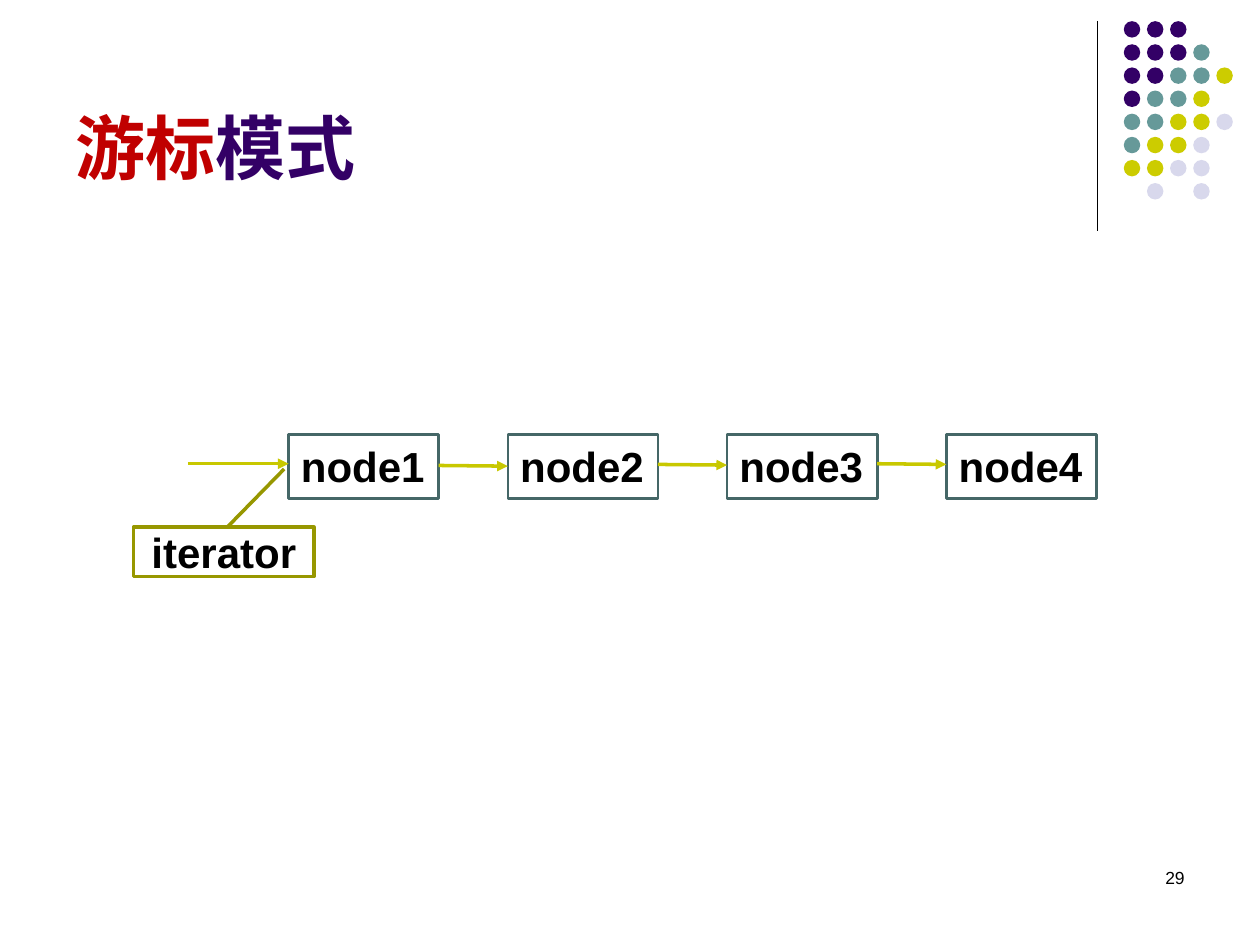
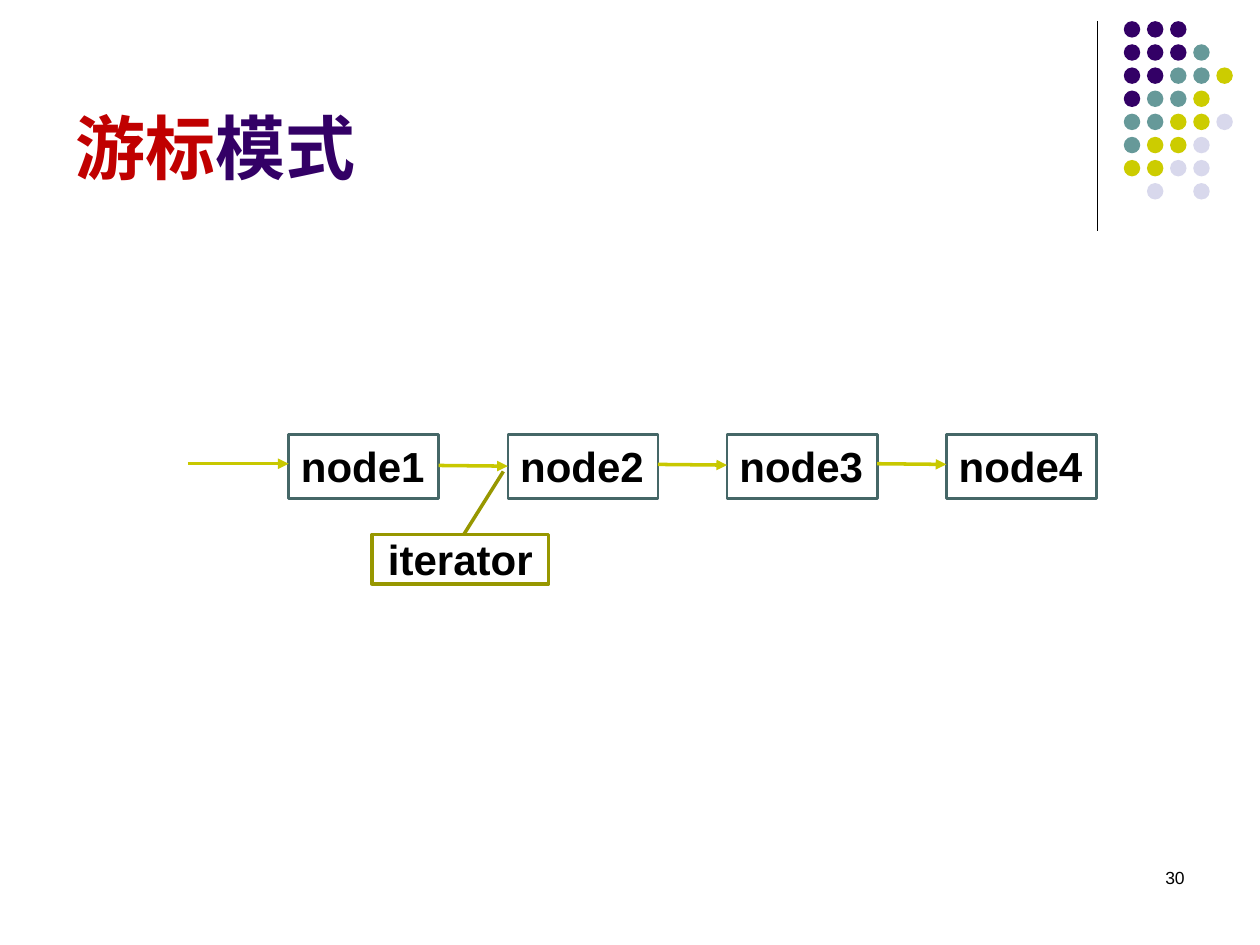
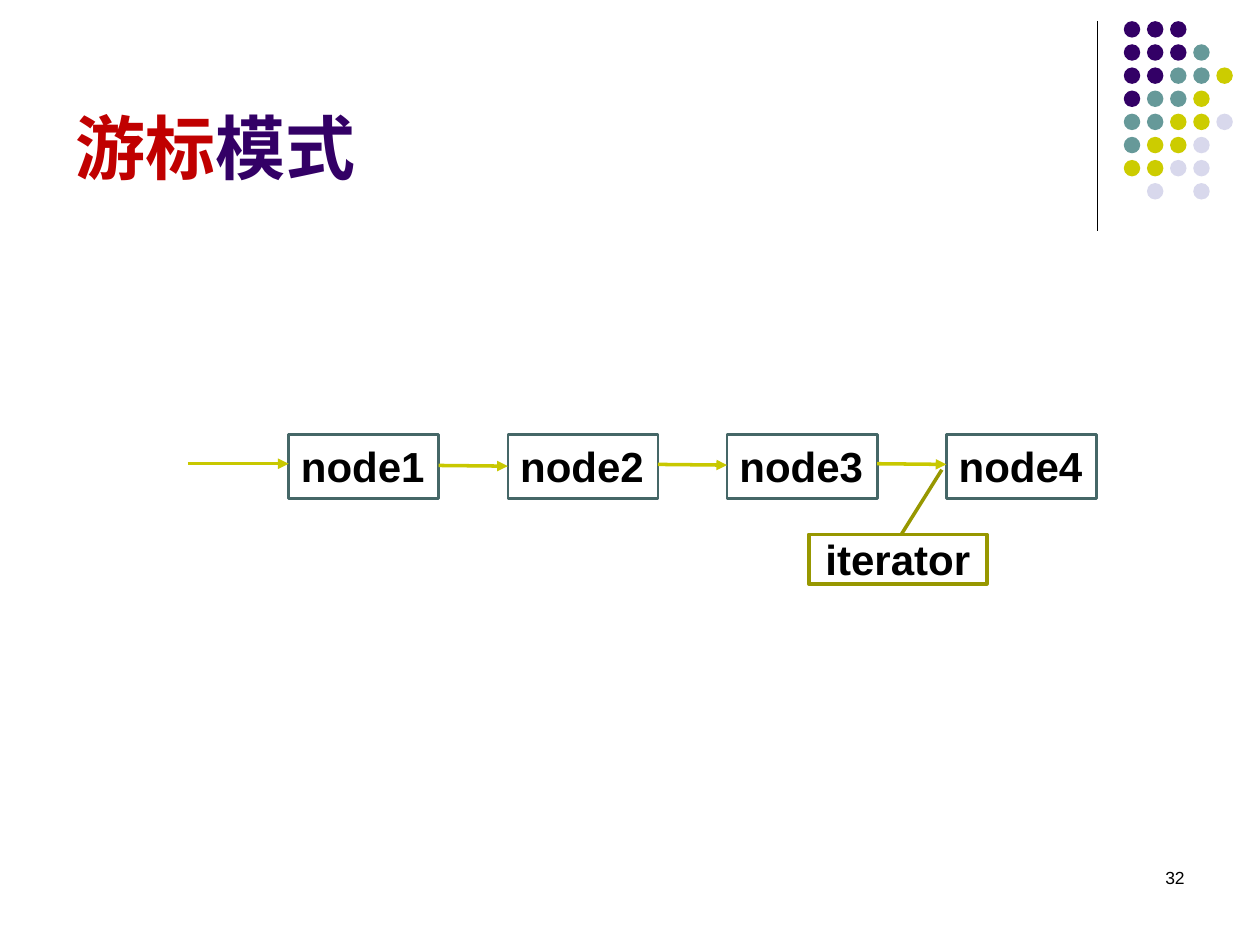
from pptx import Presentation
from pptx.dml.color import RGBColor
from pptx.enum.lang import MSO_LANGUAGE_ID
from pptx.enum.shapes import MSO_CONNECTOR, MSO_SHAPE
from pptx.enum.text import MSO_ANCHOR, MSO_AUTO_SIZE, PP_ALIGN
from pptx.oxml.ns import qn
from pptx.util import Pt
from lxml import etree

STRAIGHT = MSO_CONNECTOR.STRAIGHT
OVAL, RECTANGLE, CALLOUT = MSO_SHAPE.OVAL, MSO_SHAPE.RECTANGLE, MSO_SHAPE.LINE_CALLOUT_1
TOP, MIDDLE, BOTTOM = MSO_ANCHOR.TOP, MSO_ANCHOR.MIDDLE, MSO_ANCHOR.BOTTOM
LEFT, CENTER, RIGHT = PP_ALIGN.LEFT, PP_ALIGN.CENTER, PP_ALIGN.RIGHT
FIXED_SIZE, GROW = MSO_AUTO_SIZE.NONE, MSO_AUTO_SIZE.SHAPE_TO_FIT_TEXT
CHINESE = MSO_LANGUAGE_ID.SIMPLIFIED_CHINESE

FONT = "Arial"
BLACK, RED, PURPLE = "000000", "C00000", "330066"
NODE_LINE, ARROW_LINE, ITERATOR_LINE = "456767", "C8C800", "979700"

DOT_COLORS = {"p": PURPLE, "t": "669999", "y": "CCCC00", "l": "D8D8EC"}
DOT_ROWS = ["ppp", "pppt", "pptty", "ptty", "ttyyl", "tyyl", "yyll", " l l"]
DOT_LEFT, DOT_TOP, DOT_PITCH, DOT_SIZE = 642.2, 12.1, 13.22, 9.4

TITLE_RUNS = [("游标", RED), ("模式", PURPLE)]
TITLE_FORMAT = {"name": FONT, "size": Pt(40), "bold": True, "language_id": CHINESE}
LABEL_FORMAT = {"name": FONT, "size": Pt(24), "bold": True}
NUMBER_FORMAT = {"name": FONT, "size": Pt(10)}

NODES = ["node1", "node2", "node3", "node4"]
NODE_LEFT, NODE_TOP, NODE_PITCH = 164.9, 248.4, 125.28
NODE_WIDTH, NODE_HEIGHT = 85.8, 36.3
FIRST_ARROW_LEFT = 107.3
ARROW_HEIGHTS = [(265, 265), (266, 266.4), (265.4, 265.8), (265, 265.4)]

ITERATOR_HEIGHT = 28.3
# Page number, index of the node pointed at, left, top and width of the iterator
STEPS = [
    ("29", 0, 76.4, 301.2, 103),
    ("30", 1, 212.6, 305.4, 100.9),
    ("32", 3, 462.2, 305.4, 101.7),
]


def color(hex_value):
    return RGBColor.from_string(hex_value)


def set_values(target, values):
    for name, value in values.items():
        setattr(target, name, value)


def box(left, top, width, height):
    return Pt(left), Pt(top), Pt(width), Pt(height)


def node_left(index):
    return NODE_LEFT + index * NODE_PITCH


def add_run(paragraph, text, values, hex_value=BLACK):
    run = paragraph.add_run()
    run.text = text
    set_values(run.font, values)
    run.font.color.rgb = color(hex_value)
    return run


def add_line(shapes, start, end, hex_value, width):
    line = shapes.add_connector(STRAIGHT, *map(Pt, start + end))
    line.line.color.rgb = color(hex_value)
    line.line.width = Pt(width)
    etree.SubElement(line.element.spPr, qn("a:effectLst"))
    return line


def add_arrow(shapes, start, end):
    arrow = add_line(shapes, start, end, ARROW_LINE, 2)
    etree.SubElement(arrow.line._get_or_add_ln(), qn("a:tailEnd"), type="triangle")


def add_label(shapes, kind, place, text, outline, width, alignment, frame):
    """Add an unfilled outlined shape with bold text."""
    label = shapes.add_shape(kind, *box(*place))
    label.shadow.inherit = False
    label.fill.background()
    label.line.color.rgb = color(outline)
    label.line.width = Pt(width)
    set_values(label.text_frame, frame)
    paragraph = label.text_frame.paragraphs[0]
    paragraph.alignment = alignment
    add_run(paragraph, text, LABEL_FORMAT)
    return label


def style_layout(layout):
    """Keep only the title placeholder and give it the shared place."""
    for placeholder in list(layout.placeholders):
        if placeholder.placeholder_format.idx:
            layout.shapes.element.remove(placeholder.element)
    title = layout.placeholders[0]
    left, top, width, height = box(36, 9.4, 594, 102)
    set_values(title, {"left": left, "top": top, "width": width, "height": height})
    set_values(title.text_frame, {"vertical_anchor": BOTTOM, "auto_size": FIXED_SIZE})


def add_corner_decoration(slide):
    """Draw the line and the dots, then hand them to the layout for all slides."""
    corner = slide.shapes.add_group_shape()
    add_line(corner.shapes, (627.1, 12), (627.1, 132), BLACK, 0.75)
    for row, keys in enumerate(DOT_ROWS):
        for column, key in enumerate(keys):
            if key == " ":
                continue
            place = (DOT_LEFT + column * DOT_PITCH, DOT_TOP + row * DOT_PITCH)
            dot = corner.shapes.add_shape(OVAL, *box(*place, DOT_SIZE, DOT_SIZE))
            dot.shadow.inherit = False
            dot.fill.solid()
            dot.fill.fore_color.rgb = color(DOT_COLORS[key])
            dot.line.fill.background()
    slide.slide_layout.shapes.element.append(corner.element)


def add_title(slide):
    paragraph = slide.shapes.title.text_frame.paragraphs[0]
    paragraph.alignment = LEFT
    for text, hex_value in TITLE_RUNS:
        run = add_run(paragraph, text, TITLE_FORMAT, hex_value)
        etree.SubElement(run.font._element, qn("a:ea"), typeface=FONT)


def add_page_number(slide, number):
    frame = slide.shapes.add_textbox(*box(516, 492, 168, 36)).text_frame
    frame.word_wrap = True
    paragraph = frame.paragraphs[0]
    paragraph.alignment = RIGHT
    add_run(paragraph, number, NUMBER_FORMAT)


def add_linked_list(slide):
    frame = {"vertical_anchor": TOP, "auto_size": GROW, "word_wrap": False}
    for index, name in enumerate(NODES):
        place = (node_left(index), NODE_TOP, NODE_WIDTH, NODE_HEIGHT)
        add_label(slide.shapes, RECTANGLE, place, name, NODE_LINE, 1.5, LEFT, frame)
    for index, (start_y, tip_y) in enumerate(ARROW_HEIGHTS):
        start_x = node_left(index - 1) + NODE_WIDTH if index else FIRST_ARROW_LEFT
        add_arrow(slide.shapes, (start_x, start_y), (node_left(index), tip_y))


def add_iterator(slide, target, left, top, width):
    """Add the callout whose pointer ends just below the target's arrow tip."""
    frame = {"vertical_anchor": MIDDLE, "word_wrap": True}
    place = (left, top, width, ITERATOR_HEIGHT)
    callout = add_label(slide.shapes, CALLOUT, place, "iterator", ITERATOR_LINE, 2, CENTER, frame)
    pointer_x = node_left(target) - 2.5
    pointer_y = ARROW_HEIGHTS[target][1] + 3
    pointer = [0, 0.52, (pointer_y - top) / ITERATOR_HEIGHT, (pointer_x - left) / width]
    for index, value in enumerate(pointer):
        callout.adjustments[index] = value


def main():
    deck = Presentation()
    deck.slide_width, deck.slide_height = Pt(720), Pt(540)
    layout = deck.slide_layouts[5]
    style_layout(layout)
    for number, target, left, top, width in STEPS:
        slide = deck.slides.add_slide(layout)
        if number == STEPS[0][0]:
            add_corner_decoration(slide)
        add_title(slide)
        add_page_number(slide, number)
        add_linked_list(slide)
        add_iterator(slide, target, left, top, width)
    deck.save("out.pptx")


if __name__ == "__main__":
    main()
